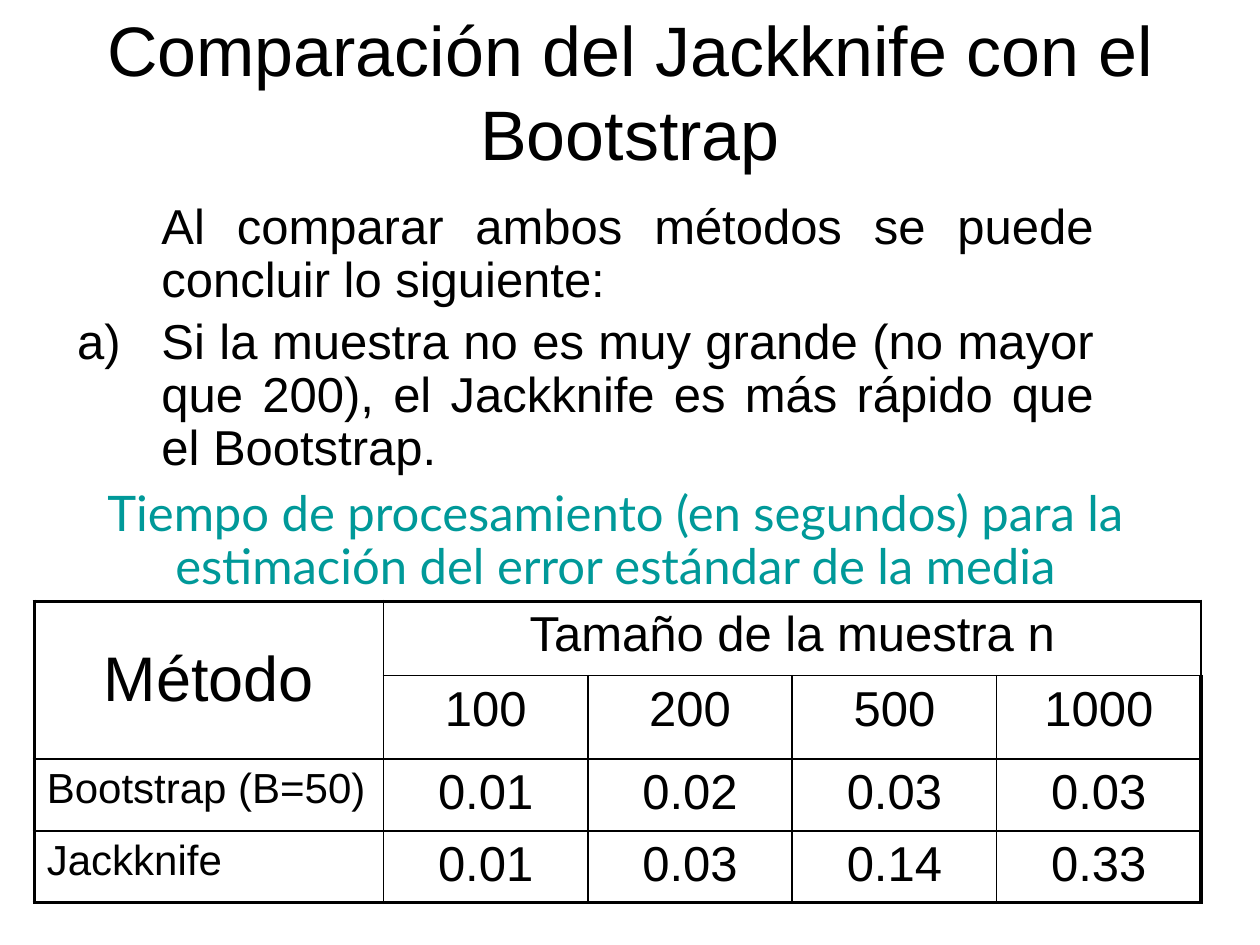
from dataclasses import dataclass

from lxml import etree
from pptx import Presentation
from pptx.dml.color import RGBColor
from pptx.enum.text import MSO_ANCHOR, MSO_AUTO_SIZE, PP_ALIGN
from pptx.oxml.ns import qn
from pptx.util import Cm, Pt

LEFT, CENTER, JUSTIFY = PP_ALIGN.LEFT, PP_ALIGN.CENTER, PP_ALIGN.JUSTIFY
TOP, MIDDLE = MSO_ANCHOR.TOP, MSO_ANCHOR.MIDDLE

# Content
TITLE = "Comparación del Jackknife con el Bootstrap"
INTRO = "Al comparar ambos métodos se puede concluir lo siguiente:"
FINDING = ("Si la muestra no es muy grande (no mayor que 200), "
           "el Jackknife es más rápido que el Bootstrap.")
CAPTION = ("Tiempo de procesamiento (en segundos) para la "
           "estimación del error estándar de la media")
TIMES = [
    ["Método", "Tamaño de la muestra n", "", "", ""],
    ["", "100", "200", "500", "1000"],
    ["Bootstrap (B=50)", "0.01", "0.02", "0.03", "0.03"],
    ["Jackknife", "0.01", "0.03", "0.14", "0.33"],
]
COLUMN_WIDTHS = [7.04] + [4.12] * 4
ROW_HEIGHTS = [1.5, 1.65, 1.45, 1.45]


@dataclass(frozen=True)
class Theme:
    font: str = "Arial"
    caption_font: str = "Lato"
    ink: str = "000000"
    accent: str = "009999"
    title: int = 40
    header: int = 36
    text: int = 28
    label: int = 24
    outer_line: float = 2.25
    inner_line: float = 1


THEME = Theme()


def style(para, size, align, font=THEME.font, color=THEME.ink):
    para.alignment = align
    for span in para.runs:
        span.font.size = Pt(size)
        span.font.name = font
        span.font.bold = False
        span.font.color.rgb = RGBColor.from_string(color)


def place(shape, left, top, width, height):
    shape.left, shape.top = Cm(left), Cm(top)
    shape.width, shape.height = Cm(width), Cm(height)
    shape.text_frame.word_wrap = True
    shape.text_frame.auto_size = MSO_AUTO_SIZE.NONE


def add_border(cell, side, width):
    line = etree.SubElement(cell._tc.get_or_add_tcPr(), qn("a:ln" + side), w=str(Pt(width)))
    fill = etree.SubElement(line, qn("a:solidFill"))
    etree.SubElement(fill, qn("a:srgbClr"), val=THEME.ink)


deck = Presentation()
deck.slide_width, deck.slide_height = Cm(25.4), Cm(19.05)
page = deck.slides.add_slide(deck.slide_layouts[1])
title, body = page.placeholders

# Title
place(title, 1.27, 0.76, 22.86, 2.13)
title.text_frame.text = TITLE
title.text_frame.vertical_anchor = MIDDLE
style(title.text_frame.paragraphs[0], THEME.title, CENTER)

# Introduction and lettered finding
place(body, 1.3, 3.94, 21, 6.2)
body.text_frame.text = INTRO
body.text_frame.add_paragraph().text = FINDING
for para, indent, bullet in zip(body.text_frame.paragraphs, (0, -1.7),
                                ("a:buNone", "a:buAutoNum")):
    style(para, THEME.text, JUSTIFY)
    para.line_spacing = 0.9
    para.space_before = Pt(THEME.text * 0.2)
    properties = para._p.get_or_add_pPr()
    properties.set("marL", str(Cm(1.7)))
    properties.set("indent", str(Cm(indent)))
    mark = etree.SubElement(properties, qn(bullet))
    if bullet == "a:buAutoNum":
        mark.set("type", "alphaLcParenR")

# Table of processing times
last_row, last_column = len(ROW_HEIGHTS) - 1, len(COLUMN_WIDTHS) - 1
frame = page.shapes.add_table(len(ROW_HEIGHTS), len(COLUMN_WIDTHS), Cm(0.69), Cm(12.12),
                              Cm(sum(COLUMN_WIDTHS)), Cm(sum(ROW_HEIGHTS)))
table = frame.table
table.first_row = table.horz_banding = False
for column, width in zip(table.columns, COLUMN_WIDTHS):
    column.width = Cm(width)
for row, height in zip(table.rows, ROW_HEIGHTS):
    row.height = Cm(height)
for r, texts in enumerate(TIMES):
    for c, text in enumerate(texts):
        cell = table.cell(r, c)
        is_method = (r, c) == (0, 0)
        is_label = c == 0 and r > 1
        size = THEME.header if is_method else THEME.label if is_label else THEME.text
        if text:
            cell.text_frame.text = text
            style(cell.text_frame.paragraphs[0], size, LEFT if is_label else CENTER)
            cell.text_frame.paragraphs[0].space_before = Pt(size * 0.2)
        cell.vertical_anchor = MIDDLE if is_method else TOP
        edges = {"L": c == 0, "R": c == last_column, "T": r == 0, "B": r == last_row}
        for side, is_outer in edges.items():
            add_border(cell, side, THEME.outer_line if is_outer else THEME.inner_line)
        cell.fill.background()
table.cell(0, 0).merge(table.cell(1, 0))
table.cell(0, 1).merge(table.cell(0, last_column))

# Table caption
caption = page.shapes.add_textbox(0, 0, 0, 0)
place(caption, 1.7, 9.73, 21.41, 2.39)
caption.text_frame.text = CAPTION
para = caption.text_frame.paragraphs[0]
style(para, THEME.text, CENTER, THEME.caption_font, THEME.accent)
para.line_spacing = 0.9
para.space_before = Pt(THEME.text * 0.5)

deck.save("out.pptx")
